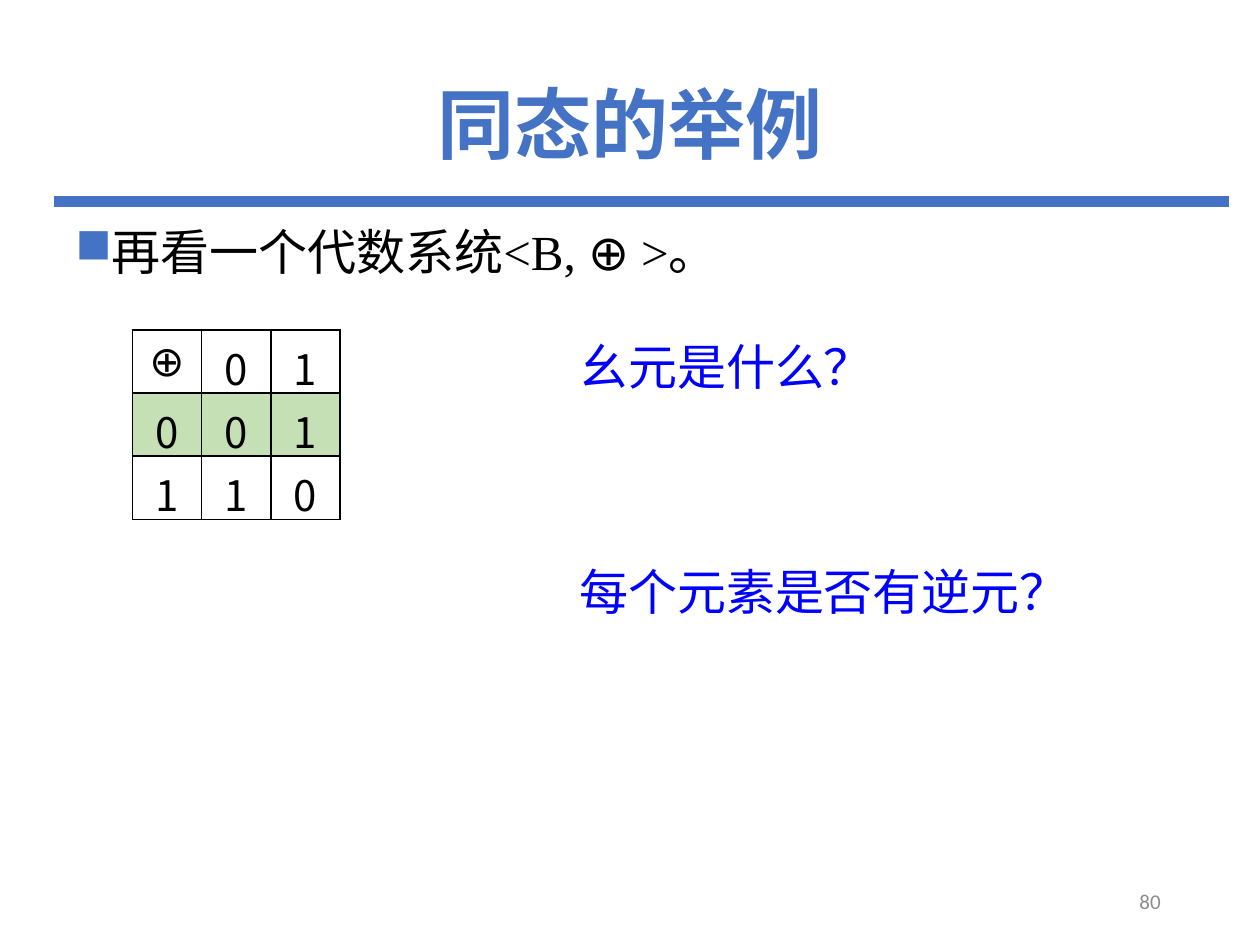
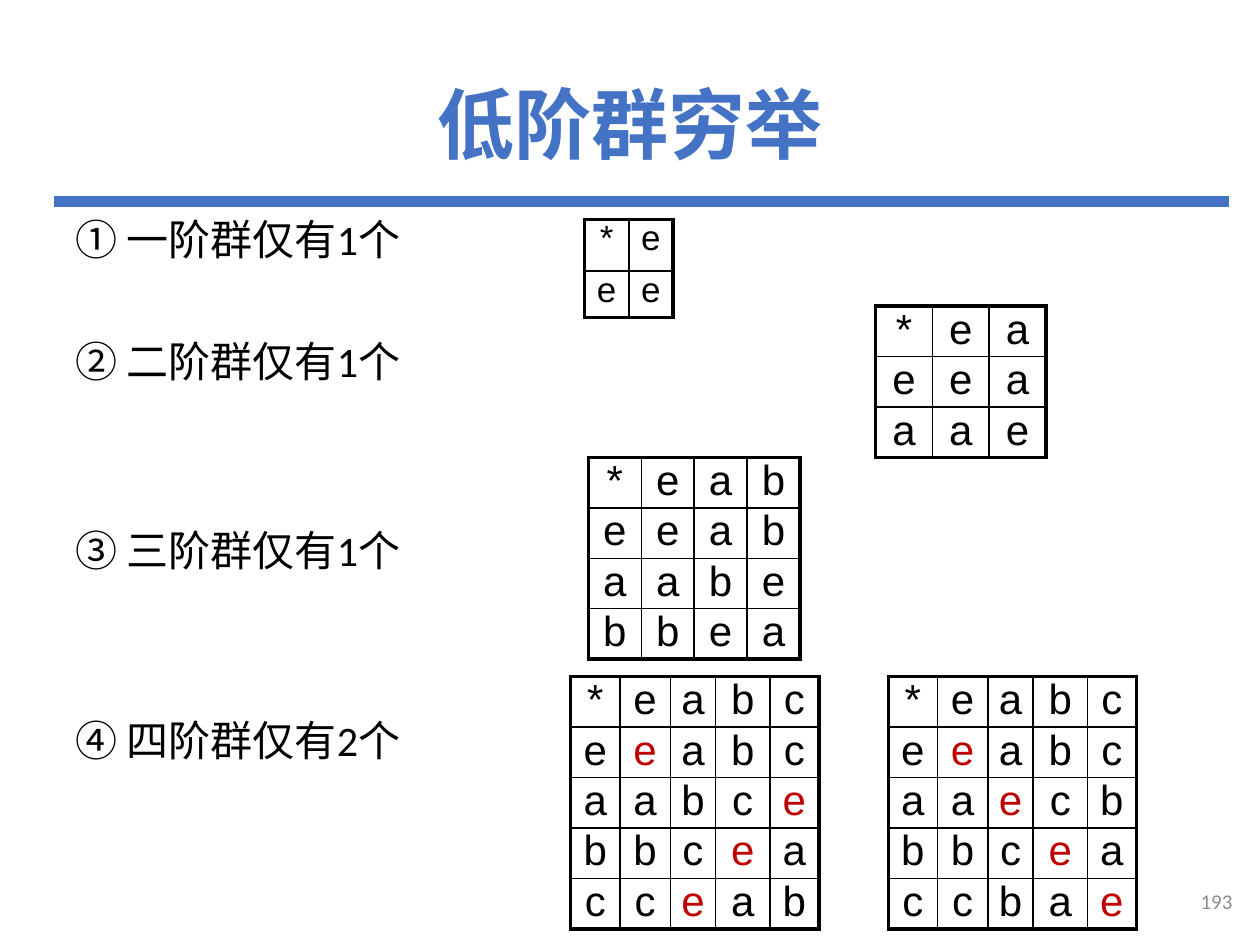
from dataclasses import dataclass

import pptx
import pptx.dml.color
import pptx.enum.shapes
import pptx.enum.text
import pptx.oxml.ns
import pptx.slide
import pptx.table
import pptx.text.text
import pptx.util
from lxml import etree
from pptx.util import Inches

ALIGN = pptx.enum.text.PP_ALIGN
ANCHOR = pptx.enum.text.MSO_ANCHOR
qn = pptx.oxml.ns.qn


@dataclass(frozen=True)
class Theme:
    accent: str = "4472C4"
    ink: str = "000000"
    question: str = "0000FF"
    identity: str = "C00000"
    row_highlight: str = "C5E0B4"
    page_number: str = "8C8C8C"
    latin: str = "Calibri"
    serif: str = "Times New Roman"
    sans: str = "Arial"
    chinese: str = "Noto Sans CJK SC"
    title_size: float = 44
    body_size: float = 28
    list_size: float = 24
    small_table_size: float = 20
    page_number_size: float = 12
    line_spacing: float = 0.9
    thin: float = 1
    thick: float = 2.25


THEME = Theme()


@dataclass(frozen=True)
class Place:
    left: float
    top: float
    width: float
    height: float


@dataclass(frozen=True)
class Style:
    size: float
    color: str = THEME.ink
    font: str = THEME.latin
    bold: bool = False


@dataclass(frozen=True)
class OperationTable:
    """A Cayley table: one word of symbols per row, operator in the corner."""
    left: float
    top: float
    columns: tuple[float, ...]
    rows: tuple[float, ...]
    symbols: tuple[str, ...]
    style: Style = Style(THEME.list_size, font=THEME.sans)
    frame: float = THEME.thick
    padded: bool = False
    red_identity: bool = False
    highlighted_row: int = -1


def rgb(color: str) -> pptx.dml.color.RGBColor:
    return pptx.dml.color.RGBColor.from_string(color)


def add_span(para: pptx.text.text._Paragraph, text: str, style: Style) -> None:
    span = para.add_run()
    span.text = text
    span.font.size = pptx.util.Pt(style.size)
    span.font.bold = style.bold
    span.font.color.rgb = rgb(style.color)
    span.font.name = style.font
    latin = span.font._element.find(qn("a:latin"))
    east_asian = etree.Element(qn("a:ea"), typeface=THEME.chinese)
    latin.addnext(east_asian)


def add_box(page: pptx.slide.Slide, place: Place, anchor: ANCHOR = ANCHOR.TOP,
            wrap: bool = True) -> pptx.text.text.TextFrame:
    box = page.shapes.add_textbox(Inches(place.left), Inches(place.top),
                                  Inches(place.width), Inches(place.height))
    frame = box.text_frame
    frame.word_wrap = wrap
    frame.vertical_anchor = anchor
    return frame


def hang_indent(para: pptx.text.text._Paragraph) -> None:
    properties = para._p.get_or_add_pPr()
    properties.set("marL", str(Inches(0.25)))
    properties.set("indent", str(-Inches(0.25)))


def add_square_bullet(para: pptx.text.text._Paragraph) -> None:
    properties = para._p.get_or_add_pPr()
    color = etree.SubElement(properties, qn("a:buClr"))
    etree.SubElement(color, qn("a:srgbClr"), val=THEME.accent)
    etree.SubElement(properties, qn("a:buChar"), char="■")


def add_page(deck: pptx.presentation.Presentation, title: str, number: int,
             number_place: Place) -> pptx.slide.Slide:
    """Add a blank page with the title, the rule below it and the page number."""
    page = deck.slides.add_slide(deck.slide_layouts[6])
    rule = page.shapes.add_connector(pptx.enum.shapes.MSO_CONNECTOR.STRAIGHT,
                                     Inches(0.43), Inches(1.6), Inches(9.75), Inches(1.6))
    rule.line.color.rgb = rgb(THEME.accent)
    rule.line.width = pptx.util.Pt(6)
    etree.SubElement(rule._element.spPr, qn("a:effectLst"))

    para = add_box(page, Place(0.69, 0.4, 8.62, 1.24), ANCHOR.MIDDLE).paragraphs[0]
    para.alignment = ALIGN.CENTER
    para.line_spacing = THEME.line_spacing
    add_span(para, title, Style(THEME.title_size, THEME.accent, THEME.chinese, True))

    para = add_box(page, number_place, ANCHOR.MIDDLE).paragraphs[0]
    para.alignment = ALIGN.RIGHT
    add_span(para, str(number), Style(THEME.page_number_size, THEME.page_number))
    return page


def set_borders(cell: pptx.table._Cell, widths: dict[str, float]) -> None:
    properties = cell._tc.get_or_add_tcPr()
    for side, width in widths.items():
        line = etree.SubElement(properties, qn(f"a:ln{side}"), w=str(pptx.util.Pt(width)))
        fill = etree.SubElement(line, qn("a:solidFill"))
        etree.SubElement(fill, qn("a:srgbClr"), val=THEME.ink)


def add_operation_table(page: pptx.slide.Slide, operation: OperationTable) -> None:
    count = len(operation.symbols)
    table = page.shapes.add_table(
        count, count, Inches(operation.left), Inches(operation.top),
        Inches(sum(operation.columns)), Inches(sum(operation.rows))).table
    table.first_row = False
    table.horz_banding = False
    for column, width in zip(table.columns, operation.columns):
        column.width = Inches(width)
    for row, height in zip(table.rows, operation.rows):
        row.height = Inches(height)
    for r, symbols in enumerate(operation.symbols):
        for c, symbol in enumerate(symbols):
            fill_cell(table.cell(r, c), operation, r, c, symbol)


def fill_cell(cell: pptx.table._Cell, operation: OperationTable,
              r: int, c: int, symbol: str) -> None:
    last = len(operation.symbols) - 1
    on_frame = {"L": c == 0, "R": c == last, "T": r == 0, "B": r == last}
    set_borders(cell, {side: operation.frame if outer else THEME.thin
                       for side, outer in on_frame.items()})
    if r == operation.highlighted_row:
        cell.fill.solid()
        cell.fill.fore_color.rgb = rgb(THEME.row_highlight)
    else:
        cell.fill.background()
    if operation.padded:
        cell.vertical_anchor = ANCHOR.MIDDLE
    else:
        cell.margin_left = cell.margin_right = cell.margin_top = cell.margin_bottom = 0
    style = operation.style
    color = style.color
    if operation.red_identity and symbol == "e" and r and c:
        color = THEME.identity
    font = THEME.latin if symbol == "⊕" else style.font
    para = cell.text_frame.paragraphs[0]
    para.alignment = ALIGN.CENTER
    add_span(para, symbol, Style(style.size, color, font))


def add_homomorphism_page(deck: pptx.presentation.Presentation) -> None:
    page = add_page(deck, "同态的举例", 80, Place(7.06, 6.95, 2.25, 0.4))
    para = add_box(page, Place(0.5, 1.76, 9.28, 5.59)).paragraphs[0]
    para.line_spacing = THEME.line_spacing
    hang_indent(para)
    add_square_bullet(para)
    for text, font in (("再看一个代数系统<B, ", THEME.serif), ("⊕", THEME.latin),
                       (" >。", THEME.serif)):
        add_span(para, text, Style(THEME.body_size, font=font))

    add_operation_table(page, OperationTable(
        1.05, 2.62, (0.55,) * 3, (0.47,) * 3, ("⊕01", "001", "110"),
        style=Style(THEME.list_size, font=THEME.chinese),
        frame=THEME.thin, padded=True, highlighted_row=1))

    for question, top, width in (("幺元是什么？", 2.62, 2.56),
                                 ("每个元素是否有逆元？", 4.41, 4.13)):
        frame = add_box(page, Place(4.5, top, width, 0.57), wrap=False)
        frame.auto_size = pptx.enum.text.MSO_AUTO_SIZE.SHAPE_TO_FIT_TEXT
        add_span(frame.paragraphs[0], question, Style(THEME.body_size, THEME.question))


def add_small_groups_page(deck: pptx.presentation.Presentation) -> None:
    page = add_page(deck, "低阶群穷举", 193, Place(9.3, 6.95, 0.58, 0.4))
    frame = add_box(page, Place(0.5, 1.69, 3.56, 5.7))
    statements = (("① 一阶群仅有1个", 0), ("② 二阶群仅有1个", 43.7),
                  ("③ 三阶群仅有1个", 82.5), ("④ 四阶群仅有2个", 82.5))
    for index, (text, space) in enumerate(statements):
        para = frame.add_paragraph() if index else frame.paragraphs[0]
        para.alignment = ALIGN.JUSTIFY
        para.line_spacing = THEME.line_spacing
        if space:
            para.space_before = pptx.util.Pt(space)
        hang_indent(para)
        add_span(para, text, Style(THEME.list_size))

    order_four_columns = (0.39, 0.4, 0.36, 0.43, 0.39)
    for operation in (
        OperationTable(4.64, 1.74, (0.35,) * 2, (0.41, 0.37), ("*e", "ee"),
                       style=Style(THEME.small_table_size, font=THEME.sans)),
        OperationTable(6.95, 2.43, (0.45,) * 3, (0.39,) * 3, ("*ea", "eea", "aae")),
        OperationTable(4.67, 3.63, (0.42,) * 4, (0.37,) * 4,
                       ("*eab", "eeab", "aabe", "bbea")),
        OperationTable(4.53, 5.37, order_four_columns, (0.38,) * 5,
                       ("*eabc", "eeabc", "aabce", "bbcea", "cceab"), red_identity=True),
        OperationTable(7.05, 5.37, order_four_columns, (0.39,) * 5,
                       ("*eabc", "eeabc", "aaecb", "bbcea", "ccbae"), red_identity=True),
    ):
        add_operation_table(page, operation)


def main() -> None:
    deck = pptx.Presentation()
    deck.slide_width = Inches(10)
    deck.slide_height = Inches(7.5)
    add_homomorphism_page(deck)
    add_small_groups_page(deck)
    deck.save("out.pptx")


if __name__ == "__main__":
    main()
